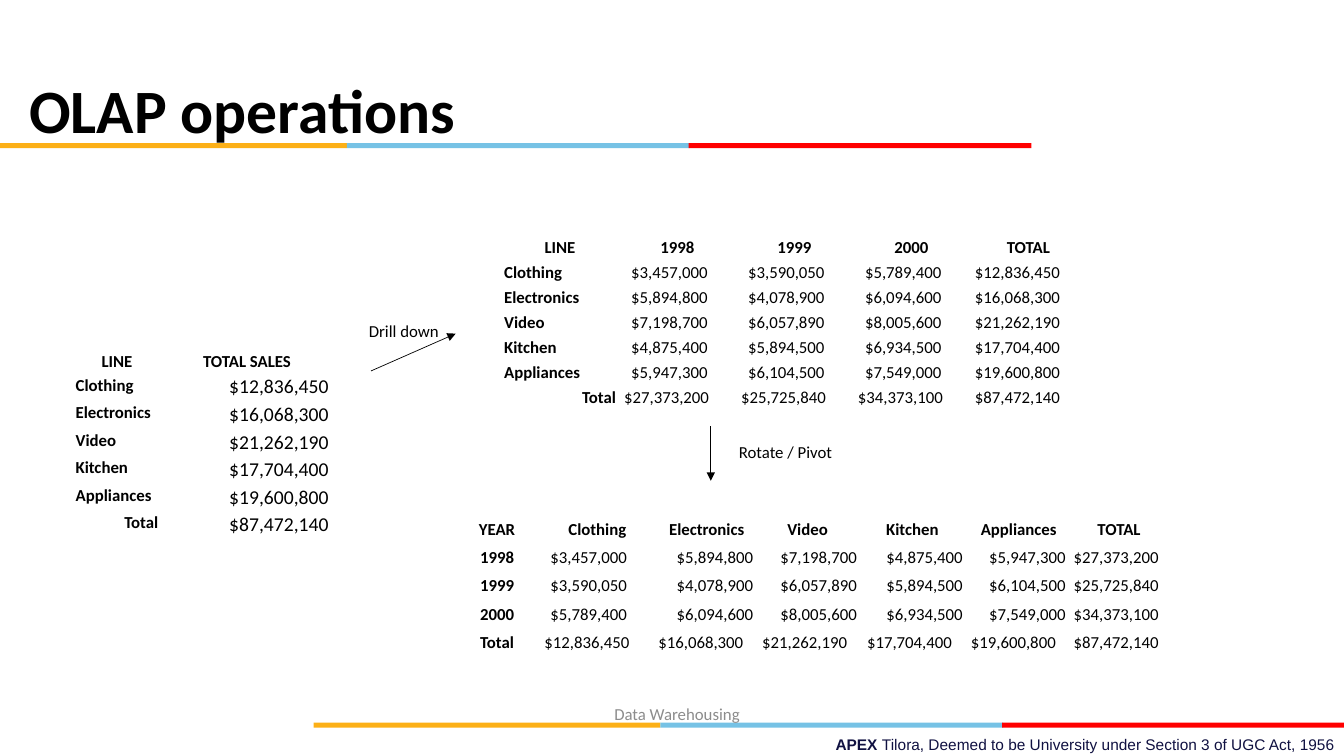
from dataclasses import dataclass
from typing import Callable

from lxml.etree import SubElement
from pptx import Presentation
from pptx.dml.color import RGBColor
from pptx.enum.shapes import MSO_CONNECTOR, MSO_SHAPE
from pptx.enum.text import MSO_ANCHOR, PP_ALIGN
from pptx.oxml.ns import qn
from pptx.util import Inches, Pt

LEFT, MID, RIGHT, FULL = PP_ALIGN.LEFT, PP_ALIGN.CENTER, PP_ALIGN.RIGHT, PP_ALIGN.JUSTIFY


@dataclass(frozen=True)
class Theme:
    ink: str = "000000"
    paper: str = "FFFFFF"
    grey: str = "8C8C8C"
    navy: str = "101141"
    gold: str = "FCB017"
    sky: str = "76C2E5"
    red: str = "FF0000"
    body: str = "Calibri"
    legal: str = "Arial"
    title: int = 44
    large: int = 14
    base: int = 12
    small: int = 11


@dataclass(frozen=True)
class Style:
    """Format of one table cell."""
    align: PP_ALIGN = LEFT
    indent: float = 0
    bold: bool = False
    size: int = 12


@dataclass(frozen=True)
class Grid:
    left: float
    top: float
    height: float
    widths: list[float]
    first: float  # height of the header row
    rest: float   # height of each other row
    pad: tuple[float, float, float, float]
    rows: list[list[str]]
    style: Callable[[int, int], Style]


@dataclass(frozen=True)
class Label:
    left: float
    top: float
    width: float
    height: float
    runs: list[tuple[str, bool]]
    size: int
    color: str
    font: str = "Calibri"
    align: PP_ALIGN = LEFT
    anchor: MSO_ANCHOR = MSO_ANCHOR.TOP
    space: float = 1
    wrap: bool = True


@dataclass(frozen=True)
class Arrow:
    start: tuple[float, float]
    end: tuple[float, float]


THEME = Theme()

# Sales by line and year; every total is worked out from these
YEARS = ["1998", "1999", "2000"]
SALES = {
    "Clothing": [3457000, 3590050, 5789400],
    "Electronics": [5894800, 4078900, 6094600],
    "Video": [7198700, 6057890, 8005600],
    "Kitchen": [4875400, 5894500, 6934500],
    "Appliances": [5947300, 6104500, 7549000],
}


def cross(corner: str, heads: list[str], data: dict[str, list[int]]) -> list[list[str]]:
    """Lay out data with a total column and a total row."""
    full = {name: [*nums, sum(nums)] for name, nums in data.items()}
    full["Total"] = [sum(col) for col in zip(*full.values())]
    body = [[name, *(f"${num:,}" for num in nums)] for name, nums in full.items()]
    return [[corner, *heads, "TOTAL"], *body]


def line_style(row: int, col: int) -> Style:
    if row == 0:
        return Style(MID, bold=True)
    if col == 0:
        return Style(RIGHT if row == 6 else LEFT, bold=True)
    return Style(FULL, 0.02) if row == 6 or col == 4 else Style(LEFT, 0.09)


def year_style(row: int, col: int) -> Style:
    if row == 0 or col == 0:
        shift = {2: 0.05, 5: 0.04}.get(col, 0)
        return Style(MID, shift, bold=True)
    if col == 6:
        return Style(FULL, 0.03)
    if row == 4:
        return Style(FULL if col == 1 else LEFT, [0, 0.03, 0.04, 0.05, 0.03][col - 1])
    return Style(LEFT, 0.06) if col == 1 else Style(RIGHT)


def sum_style(row: int, col: int) -> Style:
    if row and col:
        return Style(RIGHT, size=THEME.large)
    return line_style(row, col)


BY_LINE = cross("LINE", YEARS, SALES)
BY_YEAR = cross("YEAR", list(SALES), dict(zip(YEARS, map(list, zip(*SALES.values())))))
SUMS = [["LINE", "TOTAL SALES"], *([row[0], row[-1]] for row in BY_LINE[1:])]

GRIDS = [
    Grid(4.48, 5.11, 1.41, [0.89, 1.1, 1.02, 1.03, 1.05, 1.02, 1.01], 0.28, 0.28,
         (0.03, 0.03, 0.02, 0), BY_YEAR, year_style),
    Grid(4.97, 2.31, 1.63, [1.17] + [1.16] * 4, 0.22, 0.23,
         (0.03, 0.03, 0.03, 0), BY_LINE, line_style),
    Grid(0.72, 3.45, 1.74, [0.89, 1.69], 0.12, 0.12,
         (0.03, 0.02, 0.04, 0), SUMS, sum_style),
]
LABELS = [
    Label(4.04, 6.9, 5.35, 0.36, [("Data Warehousing", False)], THEME.base, THEME.grey,
          align=MID, anchor=MSO_ANCHOR.MIDDLE),
    Label(4.78, 7.24, 8.56, 0.29,
          [("APEX ", True),
           ("Tilora, Deemed to be University under Section 3 of UGC Act, 1956", False)],
          THEME.small, THEME.navy, THEME.legal, RIGHT),
    Label(0.19, 0.4, 11.5, 1.45, [("OLAP operations", True)], THEME.title, THEME.ink,
          anchor=MSO_ANCHOR.MIDDLE, space=0.9),
    Label(3.56, 3.13, 0.9, 0.3, [("Drill down", False)], THEME.base, THEME.ink, wrap=False),
    Label(7.23, 4.33, 1.14, 0.3, [("Rotate / Pivot", False)], THEME.base, THEME.ink, wrap=False),
]
ARROWS = [Arrow((3.68, 3.68), (4.52, 3.31)), Arrow((7.05, 4.23), (7.05, 4.77))]
STRIPES = [(0, 1.42), (3.11, 7.17)]
BARS = [(0, 3.44, THEME.gold), (3.44, 3.4, THEME.sky), (6.83, 3.4, THEME.red)]


def write(frame, runs: list[tuple[str, bool]], *, size: int, color: str = THEME.ink,
          font: str = THEME.body, align: PP_ALIGN = LEFT, space: float = 1,
          indent: float = 0) -> None:
    para = frame.paragraphs[0]
    para.alignment, para.line_spacing = align, space
    if indent:
        para._p.get_or_add_pPr().set("marL", str(Inches(indent)))
    for text, bold in runs:
        run = para.add_run()
        run.text = text
        run.font.name, run.font.size, run.font.bold = font, Pt(size), bold
        run.font.color.rgb = RGBColor.from_string(color)


def draw_stripe(slide, left: float, top: float) -> None:
    group = slide.shapes.add_group_shape()
    for shift, width, color in BARS:
        bar = group.shapes.add_shape(MSO_SHAPE.RECTANGLE, Inches(left + shift), Inches(top),
                                     Inches(width), Inches(0.05))
        bar.shadow.inherit = False
        bar.fill.solid()
        bar.fill.fore_color.rgb = RGBColor.from_string(color)
        bar.line.fill.background()


def draw_label(slide, label: Label) -> None:
    box = slide.shapes.add_textbox(*map(Inches, (label.left, label.top, label.width, label.height)))
    box.text_frame.word_wrap = label.wrap
    box.text_frame.vertical_anchor = label.anchor
    write(box.text_frame, label.runs, size=label.size, color=label.color, font=label.font,
          align=label.align, space=label.space)


def edge_cell(cell, base: int) -> None:
    props = cell._tc.get_or_add_tcPr()
    for side, width in (("L", 1), ("R", 1), ("T", 1), ("B", base)):
        edge = SubElement(props, qn(f"a:ln{side}"), w=str(Pt(width)))
        SubElement(SubElement(edge, qn("a:solidFill")), qn("a:srgbClr"), val=THEME.paper)


def draw_grid(slide, grid: Grid) -> None:
    frame = slide.shapes.add_table(len(grid.rows), len(grid.widths), Inches(grid.left),
                                   Inches(grid.top), Inches(sum(grid.widths)), Inches(grid.height))
    table = frame.table
    table.first_row = table.horz_banding = False
    for col, width in zip(table.columns, grid.widths):
        col.width = Inches(width)
    for r, texts in enumerate(grid.rows):
        table.rows[r].height = Inches(grid.rest if r else grid.first)
        for c, text in enumerate(texts):
            cell, style = table.cell(r, c), grid.style(r, c)
            edge_cell(cell, 1 if r else 3)
            cell.fill.solid()
            cell.fill.fore_color.rgb = RGBColor.from_string(THEME.paper)
            (cell.margin_left, cell.margin_top,
             cell.margin_right, cell.margin_bottom) = map(Inches, grid.pad)
            write(cell.text_frame, [(text, style.bold)], size=style.size, align=style.align,
                  space=1.07, indent=style.indent)
    frame.height = Inches(grid.height)


def draw_arrow(slide, arrow: Arrow) -> None:
    line = slide.shapes.add_connector(MSO_CONNECTOR.STRAIGHT,
                                      *map(Inches, (*arrow.start, *arrow.end)))
    line.line.width = Pt(0.5)
    line.line.color.rgb = RGBColor.from_string(THEME.ink)
    SubElement(line.line._get_or_add_ln(), qn("a:tailEnd"), type="triangle")
    SubElement(line._element.spPr, qn("a:effectLst"))


def main() -> None:
    deck = Presentation()
    deck.slide_width, deck.slide_height = Inches(13.33), Inches(7.5)
    slide = deck.slides.add_slide(deck.slide_layouts[6])
    for left, top in STRIPES:
        draw_stripe(slide, left, top)
    for grid in GRIDS:
        draw_grid(slide, grid)
    for label in LABELS:
        draw_label(slide, label)
    for arrow in ARROWS:
        draw_arrow(slide, arrow)
    deck.save("out.pptx")


if __name__ == "__main__":
    main()
